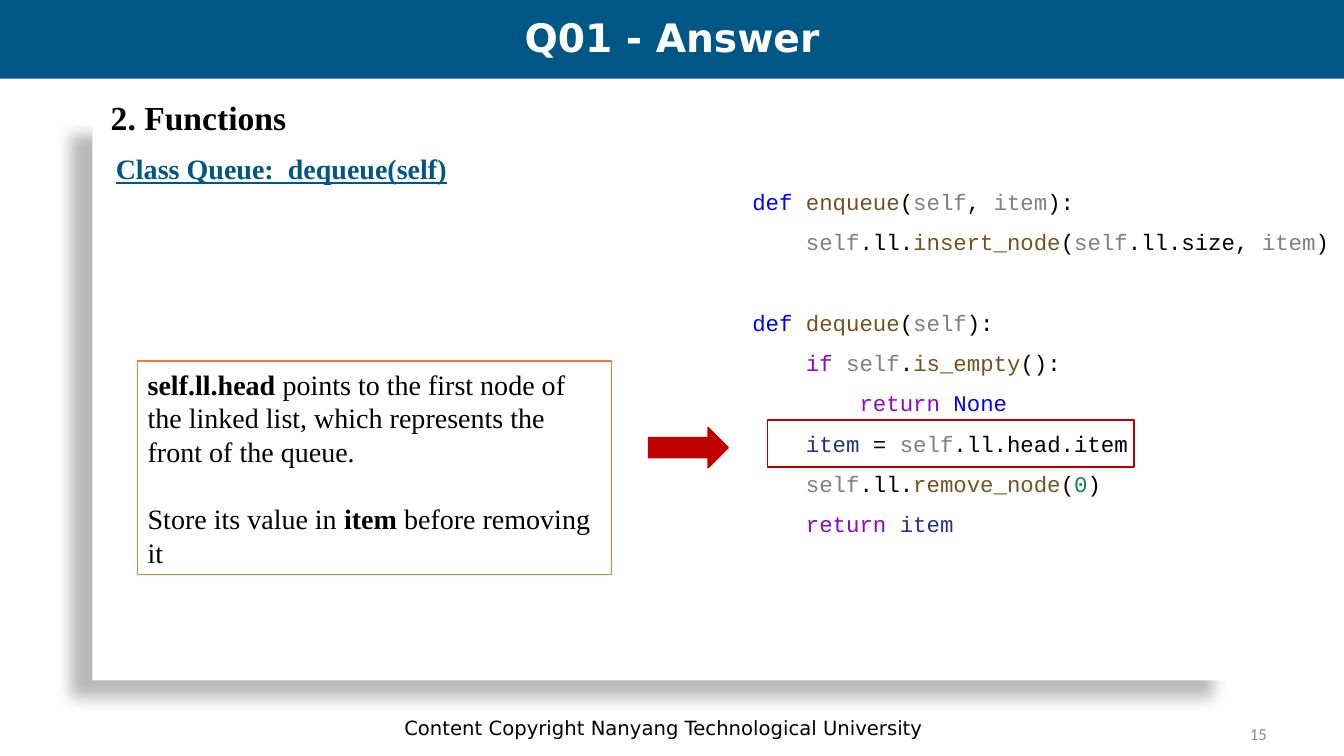
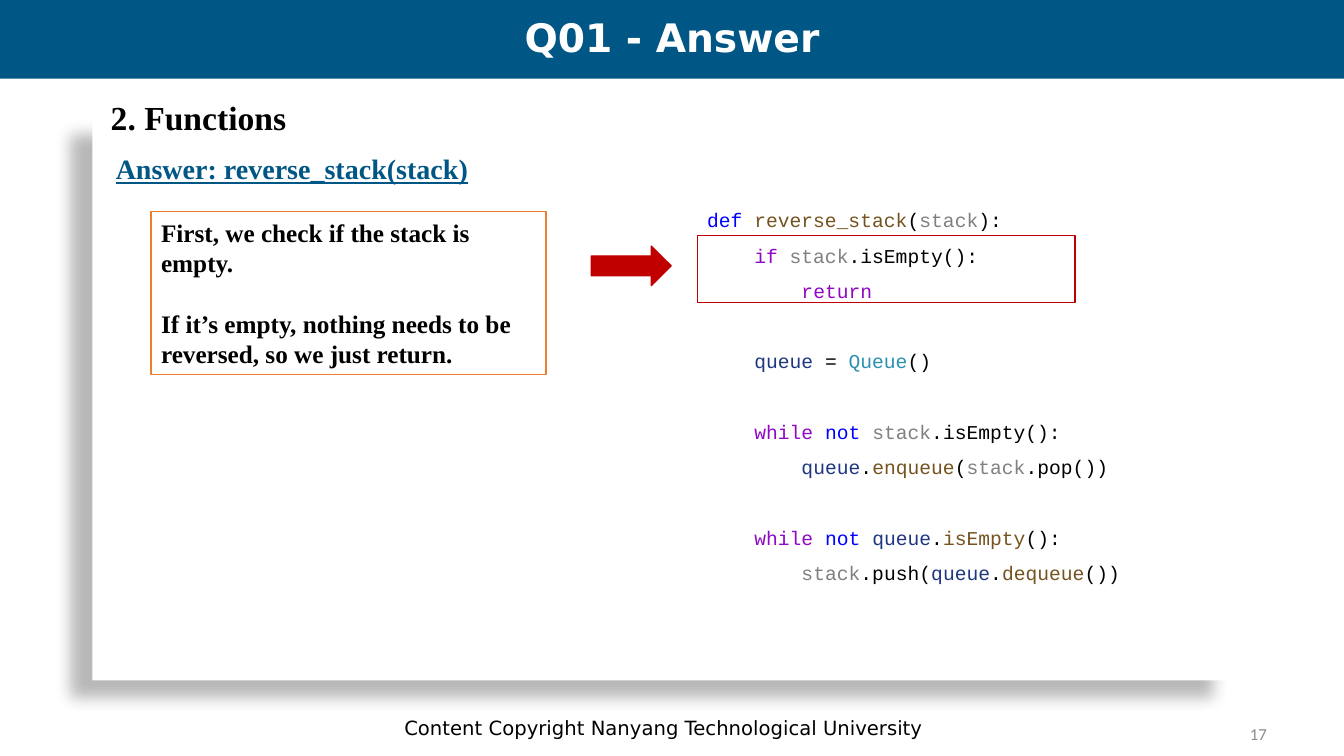
from dataclasses import dataclass
from typing import NamedTuple

from lxml.etree import SubElement
from pptx import Presentation
from pptx.dml.color import RGBColor
from pptx.enum.shapes import MSO_SHAPE as Preset
from pptx.enum.text import MSO_ANCHOR as Anchor, PP_ALIGN as Align
from pptx.oxml.ns import qn
from pptx.util import Inches, Pt

WIDTH, HEIGHT = Inches(13.33), Inches(7.5)
COLUMNS, ROWS = 160, 90

WHITE = RGBColor(0xFF, 0xFF, 0xFF)
BLACK = RGBColor(0x00, 0x00, 0x00)
NAVY = RGBColor(0x00, 0x56, 0x84)
GREY = RGBColor(0x8C, 0x8C, 0x8C)
RED = RGBColor(0xC0, 0x00, 0x00)
ORANGE = RGBColor(0xED, 0x7D, 0x31)
KEYWORD = RGBColor(0x00, 0x00, 0xFF)
CONTROL = RGBColor(0x8F, 0x08, 0xC4)
FUNCTION = RGBColor(0x74, 0x53, 0x1F)
PARAMETER = RGBColor(0x80, 0x80, 0x80)
VARIABLE = RGBColor(0x1F, 0x37, 0x7F)
CLASS = RGBColor(0x2B, 0x91, 0xAF)
NUMBER = RGBColor(0x09, 0x86, 0x58)

SANS, SERIF, MONO = "DejaVu Sans", "Times New Roman", "Courier New"
LINE_HEIGHT = 1.2


class Area(NamedTuple):
    column: float
    row: float
    columns: float
    rows: float

    def lengths(self) -> tuple[int, int, int, int]:
        return (
            round(self.column * WIDTH / COLUMNS),
            round(self.row * HEIGHT / ROWS),
            round(self.columns * WIDTH / COLUMNS),
            round(self.rows * HEIGHT / ROWS),
        )


class Run(NamedTuple):
    text: str
    colour: RGBColor | None = None
    bold: bool = False


class Line(NamedTuple):
    runs: list[Run]
    indent: int = 0
    gap: bool = False


@dataclass(frozen=True)
class Style:
    size: int
    font: str = SERIF
    colour: RGBColor = BLACK
    bold: bool = False
    underline: bool = False
    align: Align = Align.LEFT
    anchor: Anchor = Anchor.TOP
    spacing: float = 1.0


@dataclass(frozen=True)
class Answer:
    number: str
    subheading: str
    code: list[Line]
    code_area: Area
    code_size: int
    note: list[Line]
    note_area: Area
    note_size: int
    arrow_area: Area
    highlight_area: Area


TITLE = Style(28, SANS, WHITE, bold=True, align=Align.CENTER, anchor=Anchor.MIDDLE, spacing=0.9)
FOOTER = Style(14, SANS, align=Align.CENTER, anchor=Anchor.MIDDLE)
PAGE_NUMBER = Style(12, "Calibri", GREY, align=Align.RIGHT, anchor=Anchor.MIDDLE)
HEADING = Style(24, bold=True)
SUBHEADING = Style(20, colour=NAVY, bold=True, underline=True)

SELF = Run("self", PARAMETER)
ITEM = Run("item", PARAMETER)
STACK = Run("stack", PARAMETER)
QUEUE = Run("queue", VARIABLE)
DEF = Run("def ", KEYWORD)
IF = Run("if ", CONTROL)
RETURN = Run("return ", CONTROL)
WHILE_NOT = [Run("while ", CONTROL), Run("not ", KEYWORD)]

ANSWERS = [
    Answer(
        number="15",
        subheading="Class Queue:  dequeue(self)",
        code=[
            Line([DEF, Run("enqueue", FUNCTION), Run("("), SELF, Run(", "), ITEM, Run("):")], 1),
            Line([SELF, Run(".ll."), Run("insert_node", FUNCTION), Run("("), SELF,
                  Run(".ll.size, "), ITEM, Run(")")], 2),
            Line([DEF, Run("dequeue", FUNCTION), Run("("), SELF, Run("):")], 1, gap=True),
            Line([IF, SELF, Run("."), Run("is_empty", FUNCTION), Run("():")], 2),
            Line([RETURN, Run("None", KEYWORD)], 3),
            Line([Run("item", VARIABLE), Run(" = "), SELF, Run(".ll.head.item")], 2),
            Line([SELF, Run(".ll."), Run("remove_node", FUNCTION), Run("("),
                  Run("0", NUMBER), Run(")")], 2),
            Line([RETURN, Run("item", VARIABLE)], 2),
        ],
        code_area=Area(82, 20.2, 78, 54),
        code_size=16,
        note=[
            Line([Run("self.ll.head ", bold=True),
                  Run("points to the first node of the linked list, "
                      "which represents the front of the queue.")]),
            Line([Run("Store its value in "), Run("item", bold=True),
                  Run(" before removing it")], gap=True),
        ],
        note_area=Area(16.4, 43, 56.4, 25.4),
        note_size=20,
        arrow_area=Area(77.2, 50.9, 9.5, 4.8),
        highlight_area=Area(91.4, 50, 43.6, 5.6),
    ),
    Answer(
        number="17",
        subheading="Answer: reverse_stack(stack)",
        code=[
            Line([DEF, Run("reverse_stack", FUNCTION), Run("("), STACK, Run("):")]),
            Line([IF, STACK, Run(".isEmpty():")], 1),
            Line([Run("return", CONTROL)], 2),
            Line([QUEUE, Run(" = "), Run("Queue", CLASS), Run("()")], 1, gap=True),
            Line([*WHILE_NOT, STACK, Run(".isEmpty():")], 1, gap=True),
            Line([QUEUE, Run("."), Run("enqueue", FUNCTION), Run("("), STACK, Run(".pop())")], 2),
            Line([*WHILE_NOT, QUEUE, Run("."), Run("isEmpty", FUNCTION), Run("():")], 1, gap=True),
            Line([STACK, Run(".push("), QUEUE, Run("."), Run("dequeue", FUNCTION), Run("())")], 2),
        ],
        code_area=Area(83, 22.8, 68, 47.4),
        code_size=14,
        note=[
            Line([Run("First, we check if the stack is empty.", bold=True)]),
            Line([Run("If it’s empty, nothing needs to be reversed, so we just return.",
                      bold=True)], gap=True),
        ],
        note_area=Area(18, 25.2, 47, 19.4),
        note_size=18,
        arrow_area=Area(70.4, 29.3, 9.5, 4.7),
        highlight_area=Area(83, 28, 45, 8),
    ),
]


def write_lines(shape, lines: list[Line], style: Style) -> None:
    frame = shape.text_frame
    frame.word_wrap = True
    frame.vertical_anchor = style.anchor
    for index, line in enumerate(lines):
        paragraph = frame.add_paragraph() if index else frame.paragraphs[0]
        paragraph.alignment = style.align
        paragraph.line_spacing = style.spacing
        if line.gap:
            paragraph.space_before = Pt(round(style.size * LINE_HEIGHT * style.spacing, 1))
        indent = [Run("    " * line.indent)] if line.indent else []
        for part in indent + line.runs:
            run = paragraph.add_run()
            run.text = part.text
            run.font.name = style.font
            run.font.size = Pt(style.size)
            run.font.bold = style.bold or part.bold
            run.font.underline = style.underline
            run.font.color.rgb = part.colour or style.colour


def add_lines(slide, area: Area, lines: list[Line], style: Style) -> None:
    write_lines(slide.shapes.add_textbox(*area.lengths()), lines, style)


def add_label(slide, area: Area, text: str, style: Style) -> None:
    add_lines(slide, area, [Line([Run(text)])], style)


def add_preset(slide, area: Area, fill: RGBColor | None = None,
               outline: RGBColor | None = None, preset: Preset = Preset.RECTANGLE):
    shape = slide.shapes.add_shape(preset, *area.lengths())
    shape.shadow.inherit = False
    if fill is None:
        shape.fill.background()
    else:
        shape.fill.solid()
        shape.fill.fore_color.rgb = fill
    if outline is None:
        shape.line.fill.background()
    else:
        shape.line.color.rgb = outline
        shape.line.width = Pt(1)
    return shape


def cast_shadow(shape) -> None:
    effects = shape._element.spPr.find(qn("a:effectLst"))
    shadow = SubElement(effects, qn("a:outerShdw"), blurRad=str(Pt(11.8)),
                        dist=str(Pt(19.7)), dir=str(141 * 60000), rotWithShape="0")
    colour = SubElement(shadow, qn("a:srgbClr"), val=str(BLACK))
    SubElement(colour, qn("a:alpha"), val="28000")


def add_frame(slide, number: str) -> None:
    cast_shadow(add_preset(slide, Area(11, 14, 136, 67), WHITE))
    add_preset(slide, Area(0, 0, COLUMNS, 9.36), NAVY)
    add_label(slide, Area(21.5, 84.24, 115, 4.8),
              "Content Copyright Nanyang Technological University", FOOTER)
    add_label(slide, Area(114.7, 84.96, 37.3, 4.8), number, PAGE_NUMBER)
    add_label(slide, Area(0, 0.5, COLUMNS, 8.5), "Q01 - Answer", TITLE)
    add_label(slide, Area(12, 10.9, 38, 6), "2. Functions", HEADING)


def add_answer(presentation, answer: Answer) -> None:
    slide = presentation.slides.add_slide(presentation.slide_layouts[6])
    add_frame(slide, answer.number)
    add_label(slide, Area(12.6, 17.5, 54, 5.3), answer.subheading, SUBHEADING)
    add_lines(slide, answer.code_area, answer.code, Style(answer.code_size, MONO, spacing=1.5))
    note = add_preset(slide, answer.note_area, WHITE, ORANGE)
    write_lines(note, answer.note, Style(answer.note_size, anchor=Anchor.MIDDLE))
    add_preset(slide, answer.arrow_area, RED, RED, Preset.RIGHT_ARROW)
    add_preset(slide, answer.highlight_area, outline=RED)


def main() -> None:
    presentation = Presentation()
    presentation.slide_width, presentation.slide_height = WIDTH, HEIGHT
    for answer in ANSWERS:
        add_answer(presentation, answer)
    presentation.save("out.pptx")


if __name__ == "__main__":
    main()
